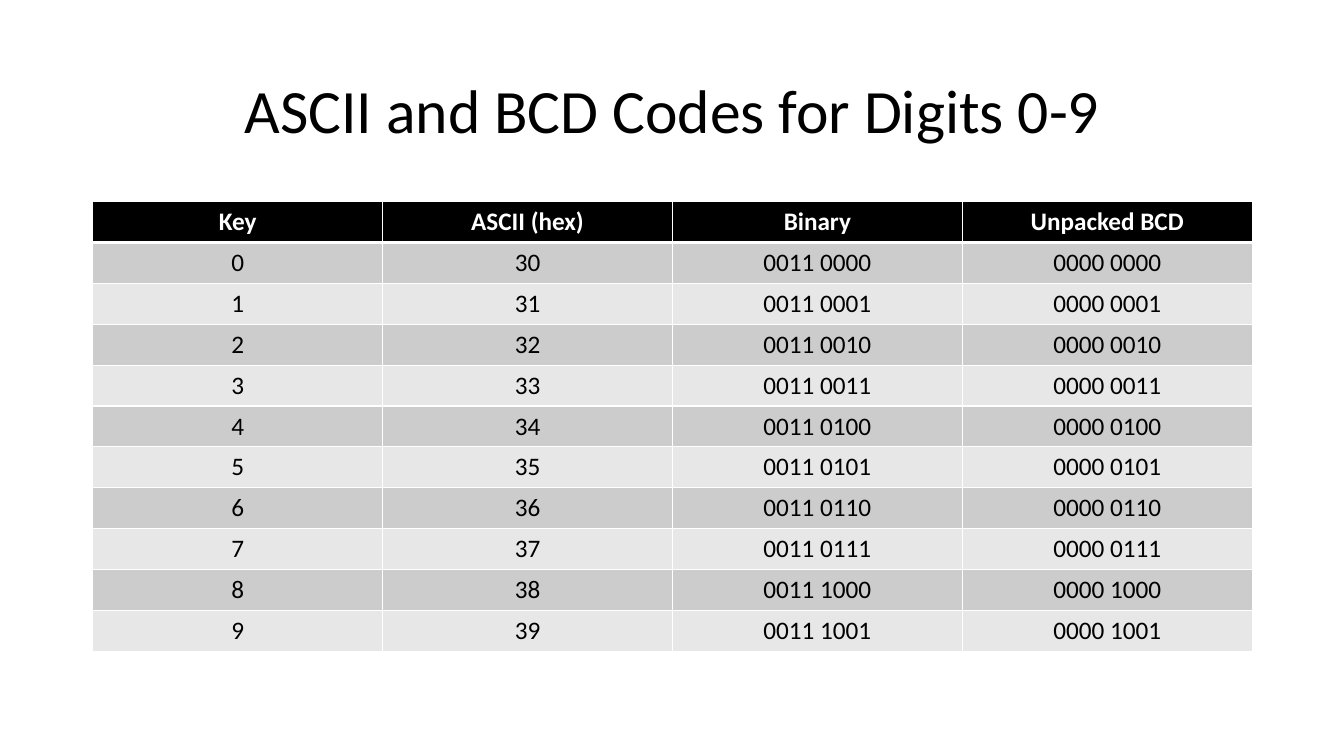
"""Build a slide with a table of ASCII and BCD codes for the digits 0-9."""
from lxml import etree
from pptx import Presentation
from pptx.dml.color import RGBColor
from pptx.enum.text import MSO_ANCHOR, PP_ALIGN
from pptx.oxml.ns import qn
from pptx.util import Inches, Pt

CENTER = PP_ALIGN.CENTER
MIDDLE = MSO_ANCHOR.MIDDLE
BLACK = RGBColor(0x00, 0x00, 0x00)
WHITE = RGBColor(0xFF, 0xFF, 0xFF)
DARK_BAND = RGBColor(0xCC, 0xCC, 0xCC)
LIGHT_BAND = RGBColor(0xE7, 0xE7, 0xE7)
TITLE_ONLY = 5
LEFT, WIDTH = Inches(0.92), Inches(11.5)
HEADINGS = ["Key", "ASCII (hex)", "Binary", "Unpacked BCD"]


class CodeSlide:
    """Holds the text style and the current slide."""

    font_name = "Calibri"

    def __init__(self, deck):
        self.slide = deck.slides.add_slide(deck.slide_layouts[TITLE_ONLY])

    def set_text(self, frame, text, color, **font_format):
        frame.text = text
        paragraph = frame.paragraphs[0]
        paragraph.alignment = CENTER
        font = paragraph.runs[0].font
        for attribute, value in {"name": self.font_name, **font_format}.items():
            setattr(font, attribute, value)
        font.color.rgb = color
        return paragraph

    def title(self, text):
        heading = self.slide.shapes.title
        placement = {"left": LEFT, "top": Inches(0.4),
                     "width": WIDTH, "height": Inches(1.45)}
        for attribute, value in placement.items():
            setattr(heading, attribute, value)
        heading.text_frame.vertical_anchor = MIDDLE
        self.set_text(heading.text_frame, text, BLACK, size=Pt(44)).line_spacing = 0.9

    def border(self, cell, side, points):
        line = etree.SubElement(cell._tc.get_or_add_tcPr(), qn(f"a:ln{side}"),
                                w=str(Pt(points)))
        fill = etree.SubElement(line, qn("a:solidFill"))
        etree.SubElement(fill, qn("a:srgbClr"), val=str(WHITE))

    def table(self, records):
        codes = self.slide.shapes.add_table(
            len(records), len(records[0]), LEFT, Inches(2), WIDTH, Inches(4.46)).table
        for row, record in enumerate(records):
            is_header = row == 0
            band = BLACK if is_header else DARK_BAND if row % 2 else LIGHT_BAND
            widths = {"L": 1, "R": 1, "T": 3 if row == 1 else 1, "B": 3 if is_header else 1}
            for column, text in enumerate(record):
                cell = codes.cell(row, column)
                for side, points in widths.items():
                    self.border(cell, side, points)
                cell.fill.solid()
                cell.fill.fore_color.rgb = band
                self.set_text(cell.text_frame, text, WHITE if is_header else BLACK,
                              size=Pt(18), bold=is_header)


def main():
    deck = Presentation()
    deck.slide_width, deck.slide_height = Inches(13.33), Inches(7.5)
    code_slide = CodeSlide(deck)
    code_slide.title("ASCII and BCD Codes for Digits 0-9")
    digits = [[f"{digit}", f"3{digit}", f"0011 {digit:04b}", f"0000 {digit:04b}"]
              for digit in range(10)]
    code_slide.table([HEADINGS, *digits])
    deck.save("out.pptx")


if __name__ == "__main__":
    main()
